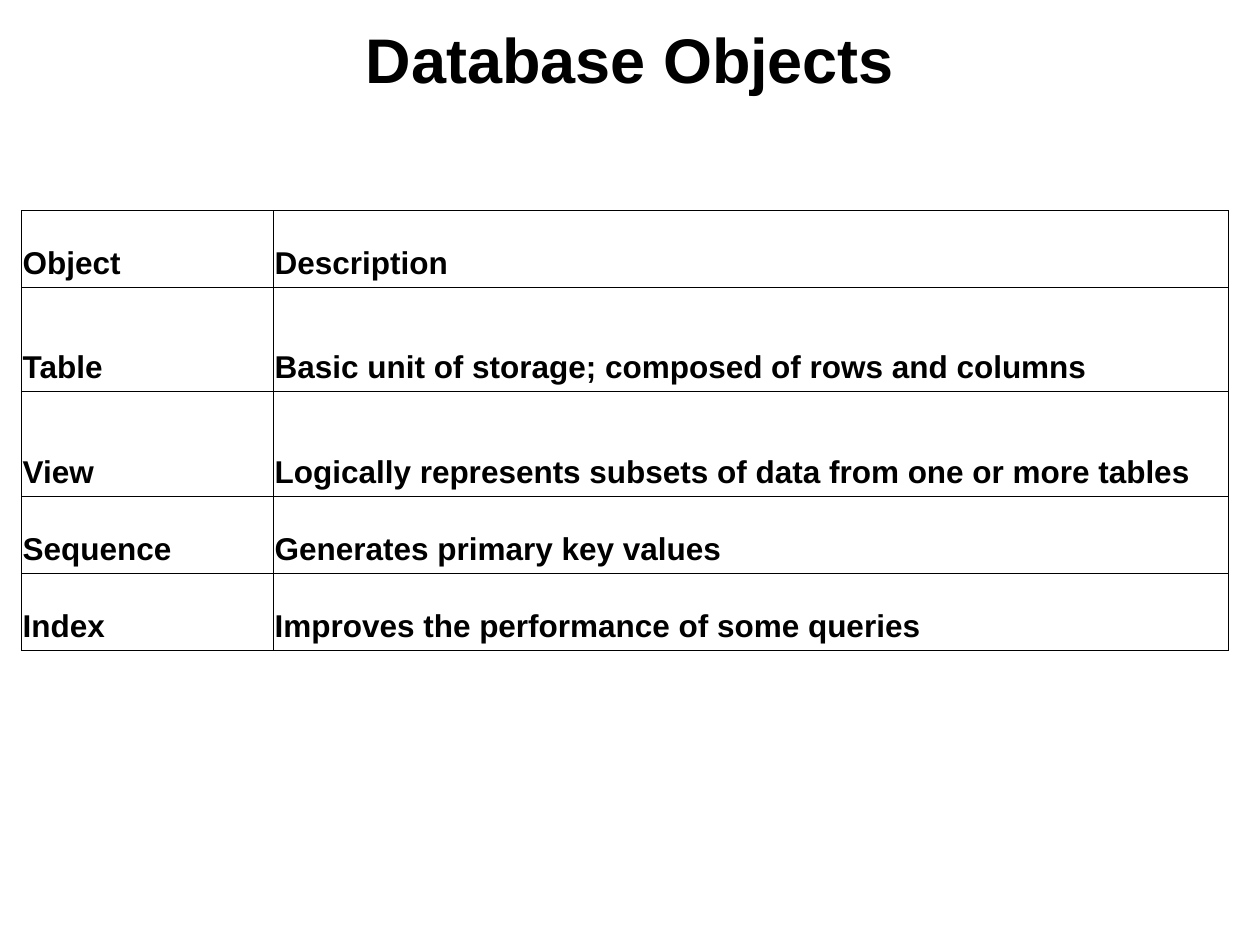
import pptx
import pptx.dml.color
import pptx.enum.text
import pptx.oxml
import pptx.oxml.ns
import pptx.util
from pptx.util import Inches

COLORS = {"background": "FFFFFF", "text": "000000", "border": "000000"}
ROWS = [
    ("Object", "Description"),
    ("Table", "Basic unit of storage; composed of rows and columns"),
    ("View", "Logically represents subsets of data from one or more tables"),
    ("Sequence", "Generates primary key values"),
    ("Index", "Improves the performance of some queries"),
]
COLUMN_WIDTHS = [2, 7.58]
ROW_HEIGHTS = [0.61, 0.83, 0.83, 0.61, 0.61]


def rgb(name):
    return pptx.dml.color.RGBColor.from_string(COLORS[name])


def write_text(tf, text, font="Arial", size=18, bold=True, color="text", align="LEFT"):
    p = tf.paragraphs[0]
    p.alignment = getattr(pptx.enum.text.PP_ALIGN, align)
    r = p.add_run()
    r.text = text
    r.font.name = font
    r.font.size = pptx.util.Pt(size)
    r.font.bold = bold
    r.font.color.rgb = rgb(color)


class SlideBuilder:
    """Hold the style and the current slide."""

    def __init__(self, prs):
        self.border_width = pptx.util.Pt(0.45)
        self.margins = (0.01, 0.05)
        self.s = prs.slides.add_slide(prs.slide_layouts[6])
        fill = self.s.background.fill
        fill.solid()
        fill.fore_color.rgb = rgb("background")

    def title(self, text, left, top, width, height):
        sp = self.s.shapes.add_textbox(
            Inches(left), Inches(top), Inches(width), Inches(height))
        tf = sp.text_frame
        tf.word_wrap = True
        tf.vertical_anchor = pptx.enum.text.MSO_ANCHOR.MIDDLE
        write_text(tf, text, size=36, align="CENTER")

    def borders(self, cell):
        tc_pr = cell._tc.get_or_add_tcPr()
        for side in ("lnL", "lnR", "lnT", "lnB"):
            tc_pr.append(pptx.oxml.parse_xml(
                f'<a:{side} {pptx.oxml.ns.nsdecls("a")} w="{self.border_width}">'
                f'<a:solidFill><a:srgbClr val="{COLORS["border"]}"/></a:solidFill>'
                f'</a:{side}>'))

    def table(self, rows, left, top, widths, heights):
        sp = self.s.shapes.add_table(
            len(rows), len(widths), Inches(left), Inches(top),
            Inches(sum(widths)), Inches(sum(heights)))
        table = sp.table
        table.first_row = table.horz_banding = False
        for column, width in zip(table.columns, widths):
            column.width = Inches(width)
        for row, height, texts in zip(table.rows, heights, rows):
            row.height = Inches(height)
            for cell, text in zip(row.cells, texts):
                side, end = self.margins
                cell.margin_left = cell.margin_right = Inches(side)
                cell.margin_top = cell.margin_bottom = Inches(end)
                cell.vertical_anchor = pptx.enum.text.MSO_ANCHOR.BOTTOM
                self.borders(cell)
                cell.fill.background()
                write_text(cell.text_frame, text)


def main():
    prs = pptx.Presentation()
    prs.slide_width, prs.slide_height = Inches(10), Inches(7.5)
    builder = SlideBuilder(prs)
    builder.title("Database Objects", 0, 0, 10, 0.92)
    builder.table(ROWS, 0.17, 1.67, COLUMN_WIDTHS, ROW_HEIGHTS)
    prs.save("out.pptx")


if __name__ == "__main__":
    main()
